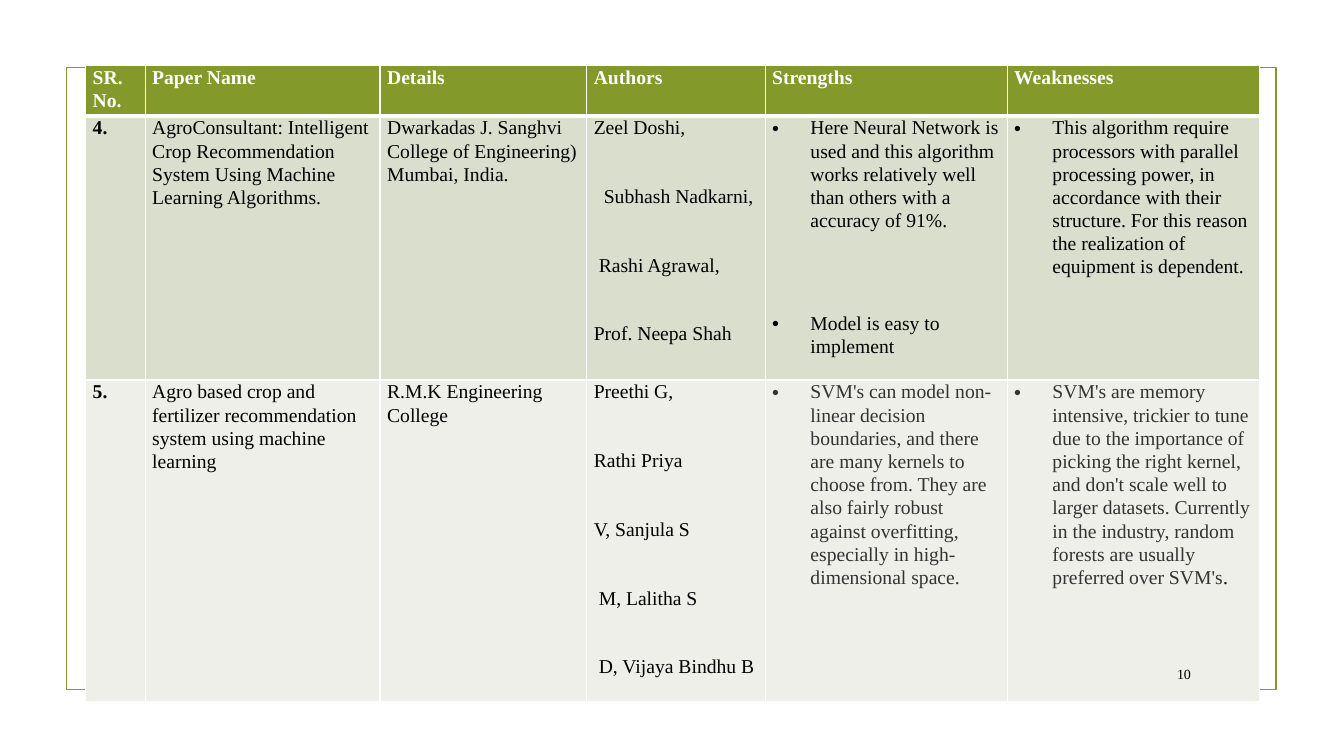
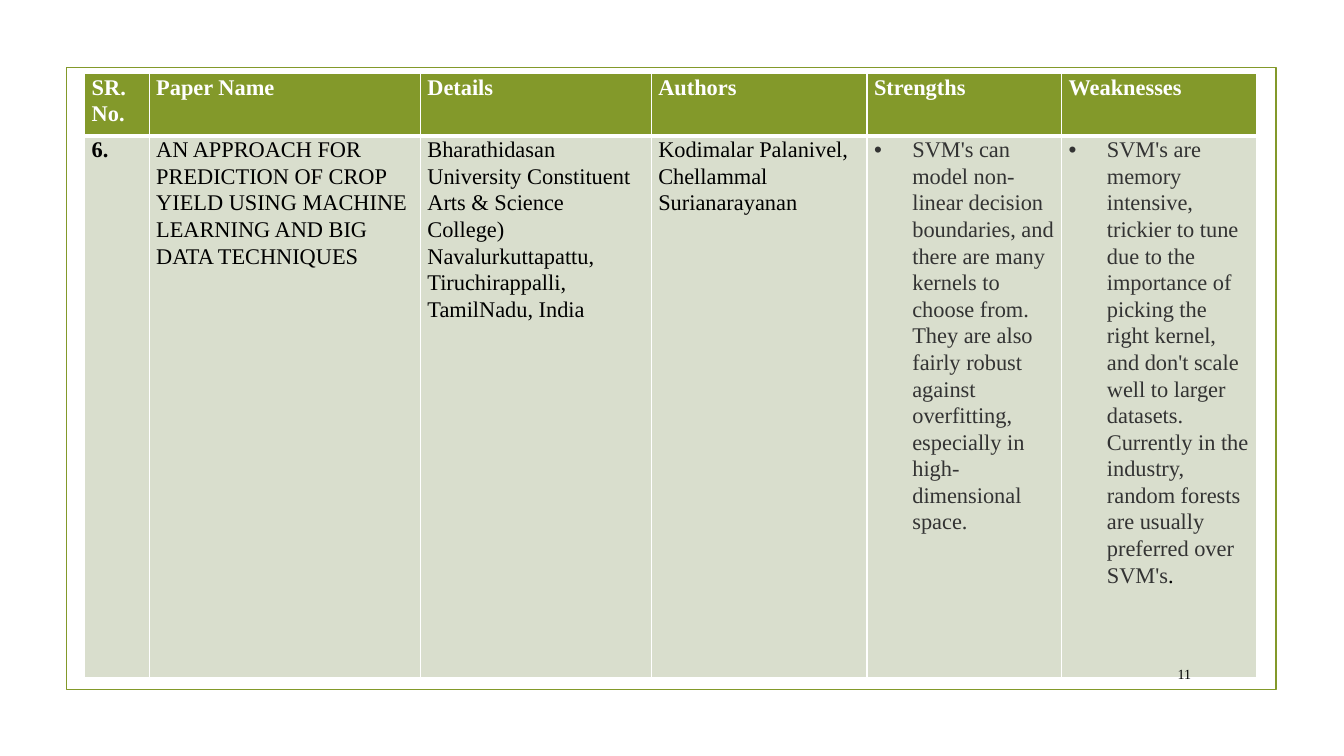
from dataclasses import dataclass

from lxml.etree import SubElement
from pptx import Presentation
from pptx.dml.color import RGBColor
from pptx.enum.shapes import MSO_SHAPE
from pptx.enum.text import MSO_ANCHOR, PP_ALIGN
from pptx.oxml.ns import qn
from pptx.util import Inches, Pt


@dataclass(frozen=True)
class Theme:
    font: str = "Times New Roman"
    olive: str = "83992A"
    white: str = "FFFFFF"
    black: str = "000000"
    gray: str = "333333"
    bands: tuple = ("D9DECD", "EDEFE8")
    number_size: int = 10
    line_spacing: float = 1.07
    gap: int = 8
    cell_margin: float = 0.07
    bullet_indent: float = 0.38


@dataclass(frozen=True)
class Para:
    text: str
    indent: float = 0
    after: float = Theme.gap
    bullet: bool = False
    color: str = Theme.black
    tail: str = ""


T = Theme()
FRAME = (0.66, 0.67, 12, 6.17)
NUMBER_BOX = (11.32, 6.53, 0.59, 0.31)
FIRST_NUMBER = 10
AUTHOR_GAP = 32.5
STRENGTH_GAP = 57
HEADERS = ("SR. No.", "Paper Name", "Details", "Authors", "Strengths", "Weaknesses")


def author_list(*authors):
    return [Para(text, indent, AUTHOR_GAP) for text, indent in authors[:-1]] + [Para(*authors[-1])]


SVM_STRENGTHS = [Para(
    "SVM's can model non-linear decision boundaries, and there are many kernels to choose from. "
    "They are also fairly robust against overfitting, especially in high-dimensional space.",
    bullet=True, color=T.gray)]
SVM_WEAKNESSES = [Para(
    "SVM's are memory intensive, trickier to tune due to the importance of picking the right kernel, "
    "and don't scale well to larger datasets. Currently in the industry, random forests are usually "
    "preferred over SVM's", bullet=True, color=T.gray, tail=".")]

PAPER_4 = (
    [Para("4.")],
    [Para("AgroConsultant: Intelligent Crop Recommendation System Using Machine Learning Algorithms.")],
    [Para("Dwarkadas J. Sanghvi College of Engineering) Mumbai, India.")],
    author_list(("Zeel Doshi,", 0), ("Subhash Nadkarni,", 0.1), ("Rashi Agrawal,", 0.05),
                ("Prof. Neepa Shah", 0)),
    [Para("Here Neural Network is used and this algorithm works relatively well than others "
          "with a accuracy of 91%.", after=STRENGTH_GAP, bullet=True),
     Para("Model is easy to implement", after=0, bullet=True)],
    [Para("This algorithm require processors with parallel processing power, in accordance with "
          "their structure. For this reason the realization of equipment is dependent.", bullet=True)],
)
PAPER_5 = (
    [Para("5.")],
    [Para("Agro based crop and fertilizer recommendation system using machine learning")],
    [Para("R.M.K Engineering College")],
    author_list(("Preethi G,", 0), ("Rathi Priya", 0), ("V, Sanjula S", 0),
                ("M, Lalitha S", 0.05), ("D, Vijaya Bindhu B", 0.05)),
    SVM_STRENGTHS,
    SVM_WEAKNESSES,
)
PAPER_6 = (
    [Para("6.")],
    [Para("AN APPROACH FOR PREDICTION OF CROP YIELD USING MACHINE LEARNING AND BIG DATA TECHNIQUES")],
    [Para("Bharathidasan University Constituent Arts & Science College) Navalurkuttapattu, "
          "Tiruchirappalli, TamilNadu, India")],
    [Para("Kodimalar Palanivel, Chellammal Surianarayanan")],
    SVM_STRENGTHS,
    SVM_WEAKNESSES,
)

SLIDES = (
    dict(box=(0.85, 0.65, 11.63, 6.32), cols=(0.59, 2.33, 2.05, 1.77, 2.4, 2.5),
         rows=(0.5, 2.62, 3.19), size=14, papers=(PAPER_4, PAPER_5)),
    dict(box=(0.84, 0.73, 11.62, 5.99), cols=(0.64, 2.69, 2.29, 2.14, 1.93, 1.93),
         rows=(0.62, 5.37), size=16, papers=(PAPER_6,)),
)


def rgb(color):
    return RGBColor.from_string(color)


def inches(box):
    return [Inches(v) for v in box]


def style_font(font, size, color, bold=False):
    font.name = T.font
    font.size = Pt(size)
    font.bold = bold
    font.color.rgb = rgb(color)


def set_indent(p, para):
    pPr = p._p.get_or_add_pPr()
    left = T.bullet_indent if para.bullet else para.indent
    pPr.set("marL", str(Inches(left)))
    pPr.set("indent", str(-Inches(left) if para.bullet else 0))
    if para.bullet:
        SubElement(pPr, qn("a:buFont"), typeface="Arial")
        SubElement(pPr, qn("a:buChar"), char="•")


def set_borders(cell, bottom):
    tcPr = cell._tc.get_or_add_tcPr()
    for side, width in (("L", 1), ("R", 1), ("T", 1), ("B", bottom)):
        ln = SubElement(tcPr, qn(f"a:ln{side}"), w=str(Pt(width)))
        fill = SubElement(ln, qn("a:solidFill"))
        SubElement(fill, qn("a:srgbClr"), val=T.white)


def fill_cell(cell, paras, size, fill, bold=False, bottom=1):
    set_borders(cell, bottom)
    cell.fill.solid()
    cell.fill.fore_color.rgb = rgb(fill)
    cell.margin_left = cell.margin_right = Inches(T.cell_margin)
    cell.margin_top = cell.margin_bottom = 0
    tf = cell.text_frame
    for i, para in enumerate(paras):
        p = tf.add_paragraph() if i else tf.paragraphs[0]
        set_indent(p, para)
        p.line_spacing = T.line_spacing
        p.space_after = Pt(para.after)
        p.text = para.text
        style_font(p.runs[0].font, size, para.color, bold)
        if para.tail:
            r = p.add_run()
            r.text = para.tail
            style_font(r.font, size, T.black, bold)


def add_frame(s, box):
    sp = s.shapes.add_shape(MSO_SHAPE.RECTANGLE, *inches(box))
    sp.shadow.inherit = False
    sp.fill.background()
    sp.line.color.rgb = rgb(T.olive)
    sp.line.width = Pt(1.25)


def add_paper_table(s, box, cols, rows, size, papers):
    table = s.shapes.add_table(len(rows), len(cols), *inches(box)).table
    for col, width in zip(table.columns, cols):
        col.width = Inches(width)
    for row, height in zip(table.rows, rows):
        row.height = Inches(height)
    for c, header in enumerate(HEADERS):
        fill_cell(table.cell(0, c), [Para(header, color=T.white)], size, T.olive, True, 3)
    for r, (paper, band) in enumerate(zip(papers, T.bands), 1):
        for c, paras in enumerate(paper):
            fill_cell(table.cell(r, c), paras, size, band, bold=c == 0)


def add_slide_number(s, box, number):
    tf = s.shapes.add_textbox(*inches(box)).text_frame
    tf.word_wrap = True
    tf.vertical_anchor = MSO_ANCHOR.MIDDLE
    p = tf.paragraphs[0]
    p.alignment = PP_ALIGN.RIGHT
    p.text = str(number)
    r = p.runs[0]
    style_font(r.font, T.number_size, T.black)
    field = SubElement(p._p, qn("a:fld"), id="{B6F15528-21DE-4FAA-801E-634DDDAF4B2B}", type="slidenum")
    field.extend(list(r._r))
    p._p.remove(r._r)


def add_paper_slide(prs, number, content):
    s = prs.slides.add_slide(prs.slide_layouts[6])
    add_frame(s, FRAME)
    add_paper_table(s, **content)
    add_slide_number(s, NUMBER_BOX, number)


def main():
    prs = Presentation()
    prs.slide_width, prs.slide_height = Inches(13.33), Inches(7.5)
    prs.element.set("firstSlideNum", str(FIRST_NUMBER))
    for number, content in enumerate(SLIDES, FIRST_NUMBER):
        add_paper_slide(prs, number, content)
    prs.save("out.pptx")


if __name__ == "__main__":
    main()
